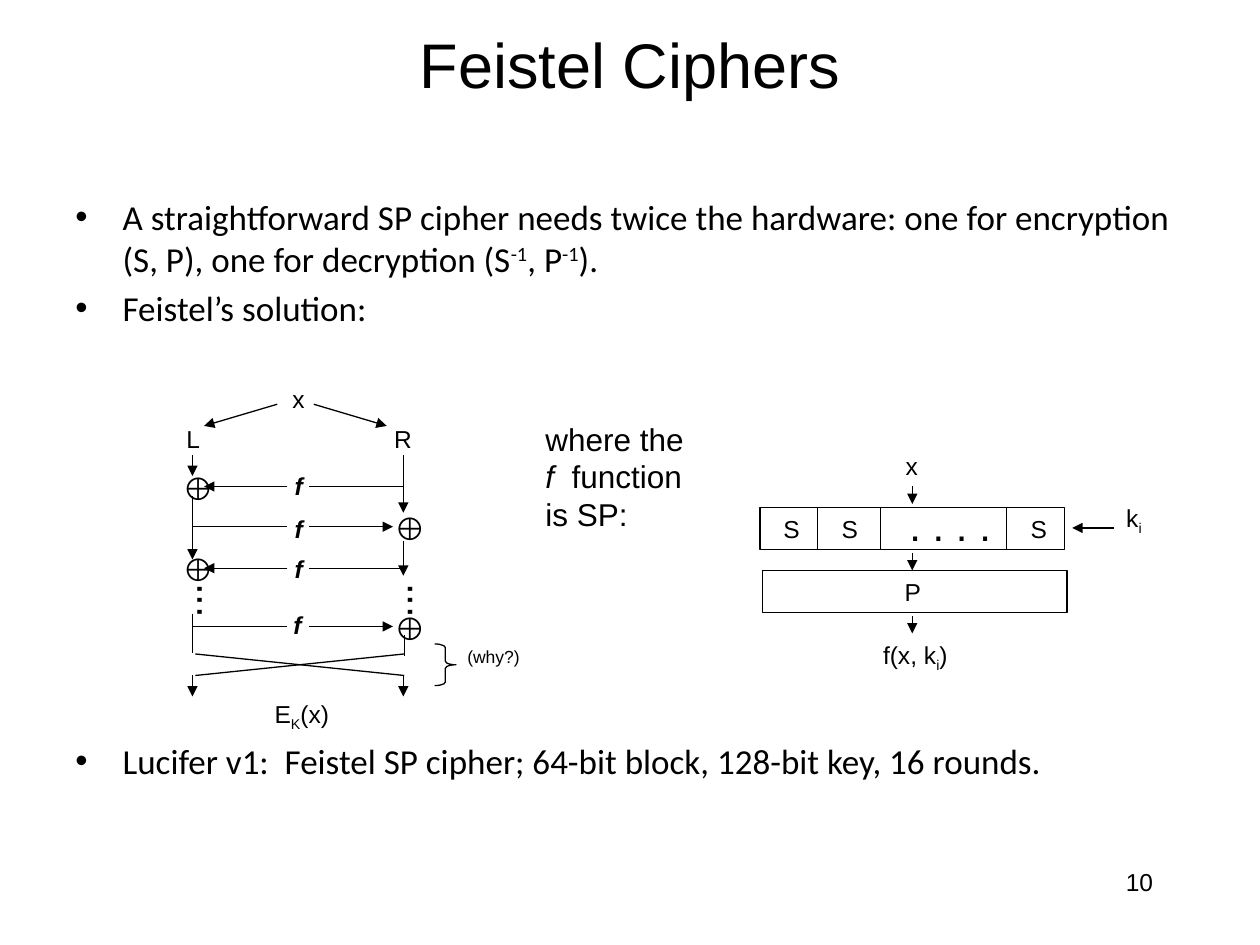
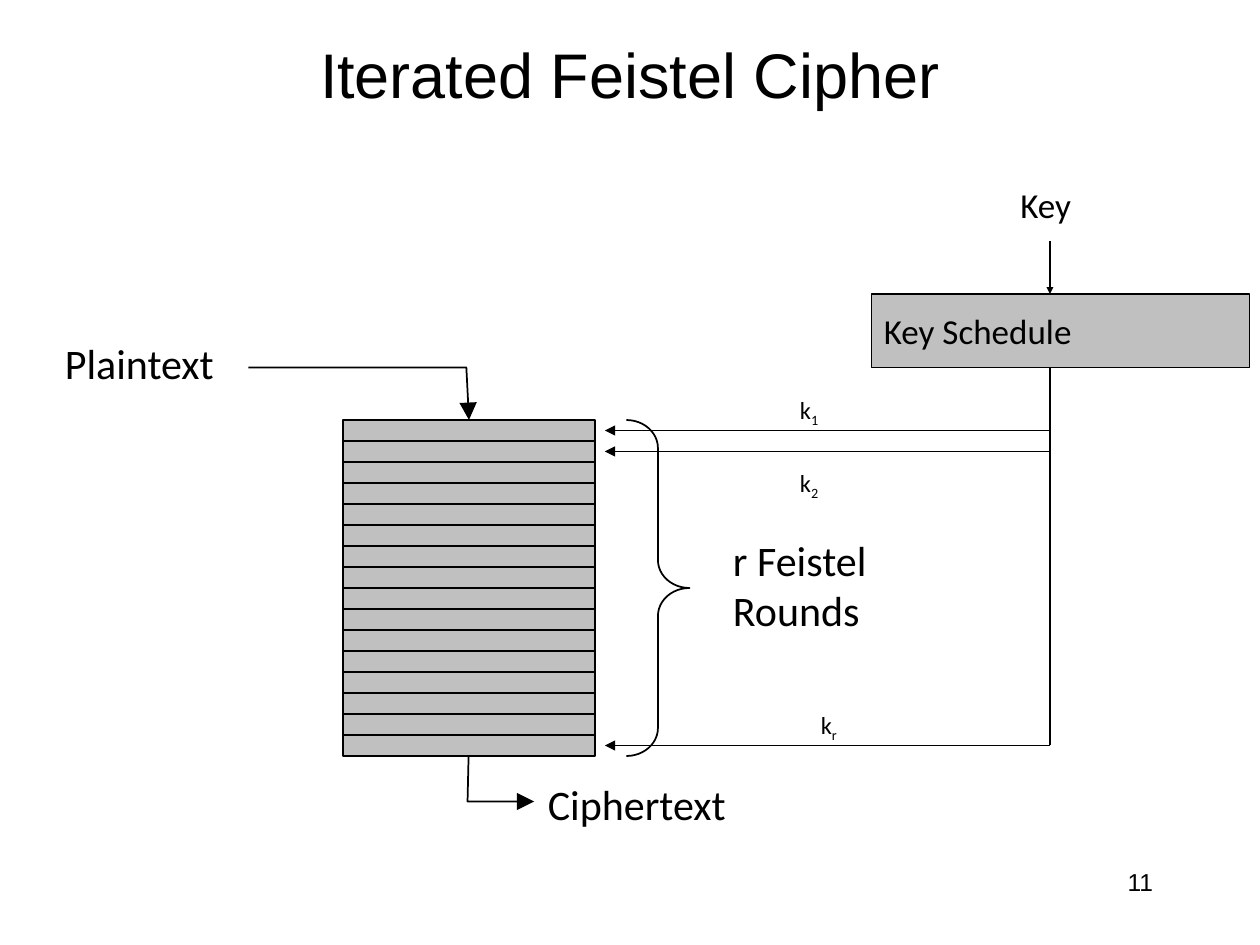
from lxml.etree import SubElement
from pptx import Presentation
from pptx.dml.color import RGBColor
from pptx.enum.shapes import MSO_CONNECTOR, MSO_SHAPE
from pptx.enum.text import MSO_ANCHOR, MSO_AUTO_SIZE, PP_ALIGN
from pptx.oxml.ns import qn
from pptx.util import Pt

COLORS = {"ink": "000000", "block": "C0C0C0"}
INK = RGBColor.from_string(COLORS["ink"])
SUB, SUPER = {"baseline": -25000}, {"baseline": 30000}
ITALIC = {"italic": True}
BOLD_ITALIC = {"bold": True, "italic": True}


def add_text(page, place, lines, size=14, font="Arial", wrap=False, align=PP_ALIGN.LEFT,
             anchor=MSO_ANCHOR.TOP, bullet=False, box=None):
    """Each line is a text, or a list of texts and (text, format) pairs."""
    if box is None:
        box = page.shapes.add_textbox(*map(Pt, place))
        if not wrap:
            box.text_frame.auto_size = MSO_AUTO_SIZE.SHAPE_TO_FIT_TEXT
    frame = box.text_frame
    frame.word_wrap = wrap
    frame.vertical_anchor = anchor
    for index, line in enumerate(lines):
        para = frame.paragraphs[0] if index == 0 else frame.add_paragraph()
        para.alignment = align
        if bullet:
            properties = para._p.get_or_add_pPr()
            properties.set("marL", str(Pt(27)))
            properties.set("indent", str(-Pt(27)))
            SubElement(properties, qn("a:buFont")).set("typeface", "Arial")
            SubElement(properties, qn("a:buChar")).set("char", "•")
            if index:
                para.space_before = Pt(4)
        for part in [line] if isinstance(line, str) else line:
            text, extra = (part, {}) if isinstance(part, str) else part
            span = para.add_run()
            span.text = text
            span.font.color.rgb = INK
            for name, value in {"name": font, "size": Pt(size), **extra}.items():
                if name == "baseline":
                    span._r.get_or_add_rPr().set(name, str(value))
                else:
                    setattr(span.font, name, value)
    return box


def add_line(page, *points, weight=0.75, arrow=None):
    """Two points make a connector, more make an open outline."""
    points = [(Pt(x), Pt(y)) for x, y in points]
    if len(points) == 2:
        line = page.shapes.add_connector(MSO_CONNECTOR.STRAIGHT, *points[0], *points[1])
    else:
        builder = page.shapes.build_freeform(*points[0])
        builder.add_line_segments(points[1:], close=False)
        line = builder.convert_to_shape()
        line.fill.background()
    line.line.color.rgb = INK
    line.line.width = Pt(weight)
    properties = line._element.spPr
    SubElement(properties, qn("a:effectLst"))
    if arrow:
        tip = SubElement(properties.find(qn("a:ln")), qn("a:tailEnd"))
        for name, value in {"type": "triangle", "w": arrow, "len": arrow}.items():
            tip.set(name, value)


deck = Presentation()
deck.slide_width, deck.slide_height = Pt(720), Pt(540)

# Titles and page numbers
pages = []
for number, title, top, height in [("10", "Feistel Ciphers", 6, 60),
                                   ("11", "Iterated Feistel Cipher", 18, 48)]:
    page = deck.slides.add_slide(deck.slide_layouts[6])
    add_text(page, (516, 492, 150, 36), [number], wrap=True, align=PP_ALIGN.RIGHT)
    add_text(page, (54, top, 612, height), [title], size=36, wrap=True,
             align=PP_ALIGN.CENTER, anchor=MSO_ANCHOR.MIDDLE)
    pages.append(page)
feistel, iterated = pages

# Boxes and braces
shapes = {}
for name, page, place, fill, brace_curve, weight in [
    ("s boxes", feistel, (434.2, 290.2, 174.2, 23.8), None, None, 0.75),
    ("p box", feistel, (435.6, 326.2, 174.2, 23.8), None, None, 0.75),
    ("swap brace", feistel, (248.4, 368, 12.2, 23.8), None, 0.167, 0.75),
    ("rounds", iterated, (196, 240, 144, 192), "block", None, 1),
    ("rounds brace", iterated, (358, 240, 36, 192), None, 0.444, 1),
    ("key schedule", iterated, (498, 168, 216, 42), "block", None, 1),
]:
    kind = MSO_SHAPE.RIGHT_BRACE if brace_curve else MSO_SHAPE.RECTANGLE
    shape = page.shapes.add_shape(kind, *map(Pt, place))
    shape.shadow.inherit = False
    shape.line.color.rgb = INK
    shape.line.width = Pt(weight)
    if fill:
        shape.fill.solid()
        shape.fill.fore_color.rgb = RGBColor.from_string(COLORS[fill])
    else:
        shape.fill.background()
    if brace_curve:
        shape.adjustments[0] = brace_curve
    shapes[name] = shape

# Feistel ciphers: bullets
for top, height, lines in [
    (108, 90, [["A straightforward SP cipher needs twice the hardware: one for encryption "
                "(S, P), one for decryption (S", ("-1", SUPER), ", P", ("-1", SUPER), ")."],
               "Feistel’s solution:"]),
    (419, 36, ["Lucifer v1:  Feistel SP cipher; 64-bit block, 128-bit key, 16 rounds."]),
]:
    add_text(feistel, (36, top, 648, height), lines, size=20, font="Calibri",
             wrap=True, bullet=True)

# Feistel ciphers: rounds, alternating between the two halves
left_wire, right_wire = 110, 230.5
gap_left, gap_right = 164.2, 176.4
for index, (y, f_left, f_top) in enumerate([(278, 161.3, 265.7), (301, 161.3, 290.2),
                                            (324.7, 161.3, 313.2), (358, 160.6, 344.9)]):
    if index % 2 == 0:
        add_line(feistel, (right_wire, y), (gap_right, y))
        add_line(feistel, (gap_left, y), (116.6, y), arrow="med")
        xor_left = 97.2
    else:
        add_line(feistel, (left_wire, y), (gap_left, y))
        add_line(feistel, (gap_right, y), (224.6, y), arrow="med")
        xor_left = 218.2
    add_text(feistel, (xor_left, y - 13.8, 28, 29), ["⊕"], size=18)
    add_text(feistel, (f_left, f_top, 19.4, 23.8), [[("f", BOLD_ITALIC)]])

# Feistel ciphers: wires between rounds, and the final swap
for x, top, bottom in [(left_wire, 260, 272), (right_wire, 260, 293),
                       (left_wire, 283.7, 319.7), (right_wire, 309, 329),
                       (left_wire, 386, 398), (right_wire, 386, 398),
                       (521.3, 278, 288), (521.3, 316, 326), (521.3, 352, 362)]:
    add_line(feistel, (x, top), (x, bottom), arrow="med")
for start, end in [((left_wire, 350.6), (left_wire, 373)), ((231, 363), (231, 375)),
                   ((111.6, 373.7), (231, 386)), ((231, 373.7), (111.6, 386))]:
    add_line(feistel, start, end)
for start, end in [((158.4, 231), (116.6, 243.4)), ((179.3, 231), (221, 243.4)),
                   ((636.5, 301.7), (612.7, 301.7))]:
    add_line(feistel, start, end, arrow="med")

# Feistel ciphers: S box dividers and labels
for divider in (467.3, 503.3, 575.3):
    add_line(feistel, (divider, 290.2), (divider, 314))
for left in (440.6, 473.8, 581.8):
    add_text(feistel, (left, 290.2, 23.8, 23.8), ["S"])
for left in (97.2, 217.4):
    dots = add_text(feistel, (left, 326.2, 43.2, 27.4), ["..."], size=24)
    dots.text_frame._txBody.bodyPr.set("vert", "eaVert")
for place, lines, size in [
    ((160, 216, 21.6, 23.8), ["x"], 14),
    ((99.4, 239, 22.3, 23.8), ["L"], 14),
    ((218.2, 239, 24.5, 23.8), ["R"], 14),
    ((149.8, 396, 46, 23.8), [["E", ("K", SUB), "(x)"]], 14),
    ((260, 365.8, 62.6, 26.6), ["(why?)"], 10),
    ((304.6, 236.2, 93.6, 72), ["where the", [("f", ITALIC), "  function"], "is SP:"], 18),
    ((510.5, 254.2, 21.6, 23.8), ["x"], 14),
    ((512.6, 282.2, 61.2, 36), [". . . ."], 24),
    ((509.8, 326.2, 23.8, 23.8), ["P"], 14),
    ((497.5, 362.2, 51.1, 23.8), [["f(x, k", ("i", SUB), ")"]], 14),
    ((636.5, 283.7, 23.8, 23.8), [["k", ("i", SUB)]], 14),
]:
    add_text(feistel, place, lines, size=size)

# Iterated cipher: sixteen rounds with input and output
for row in range(1, 16):
    y = 240 + 12 * row
    add_line(iterated, (196, y), (340, y), weight=1)
add_line(iterated, (142, 210), (266.5, 210), (268, 240), weight=1, arrow="lg")
add_line(iterated, (267.8, 432), (267.2, 458), (305.3, 458), weight=1, arrow="lg")

# Iterated cipher: key schedule and round keys
add_line(iterated, (600, 138), (600, 168), weight=1, arrow="sm")
add_line(iterated, (600, 210), (600, 426), weight=1)
for key, y, left, top in [("1", 246, 450, 222), ("2", 258, 450, 264), ("r", 426, 462, 402)]:
    add_line(iterated, (600, y), (345.6, y), weight=1, arrow="med")
    add_text(iterated, (left, top, 26.6, 23.8), [["k", (key, SUB)]], font="Calibri")
add_text(iterated, None, ["Key Schedule"], size=20, font="Calibri",
         anchor=MSO_ANCHOR.MIDDLE, box=shapes["key schedule"])
for place, lines, size in [
    ((30, 189.4, 100.8, 36), ["Plaintext"], 24),
    ((306, 441.4, 117.4, 36), ["Ciphertext"], 24),
    ((411.8, 301.7, 91.4, 65.5), ["r Feistel", "Rounds"], 24),
    ((576, 101.5, 44, 31.7), ["Key"], 20),
]:
    add_text(iterated, place, lines, size=size, font="Calibri")

deck.save("out.pptx")
